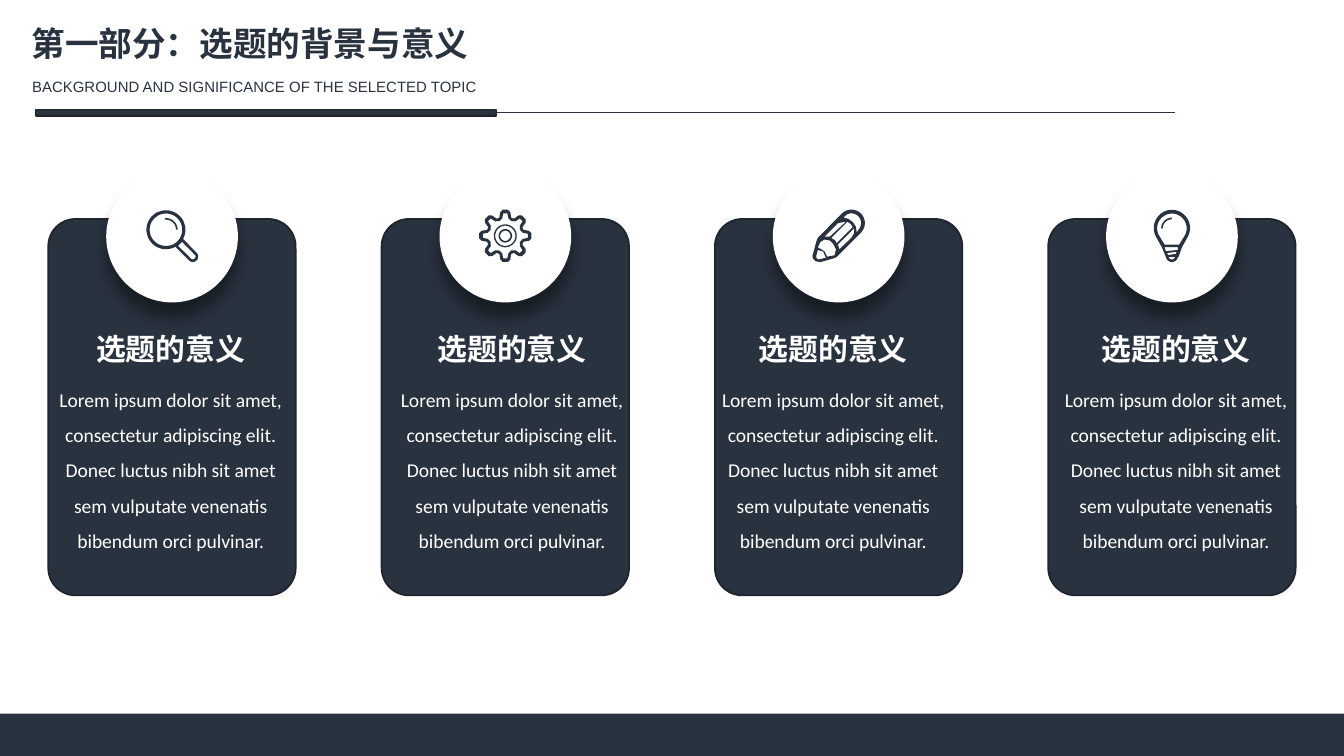
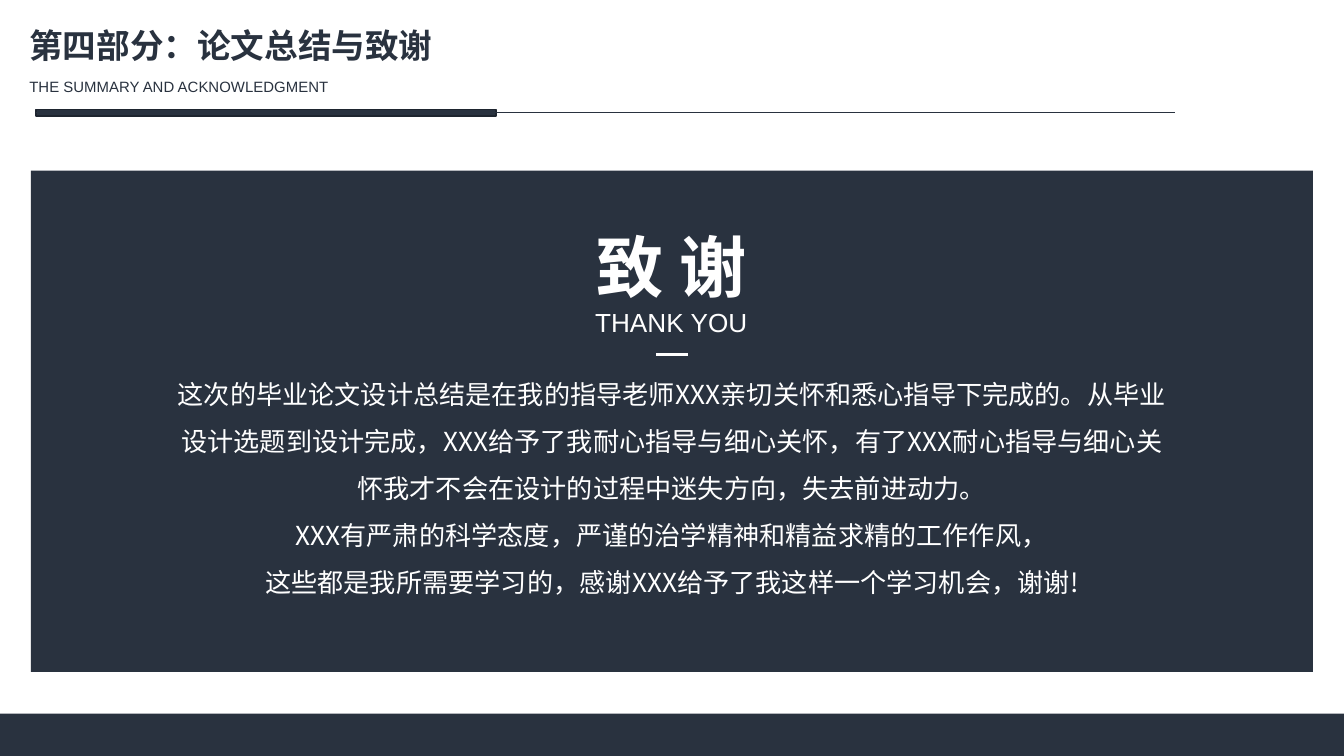
from dataclasses import dataclass
from math import cos, radians, sin

from lxml.etree import SubElement
from pptx import Presentation
from pptx.dml.color import RGBColor
from pptx.enum.shapes import MSO_CONNECTOR as Connector, MSO_SHAPE as Shape
from pptx.enum.text import MSO_AUTO_SIZE as AutoSize, PP_ALIGN as Align
from pptx.oxml.ns import qn
from pptx.util import Pt

PX = 4572  # EMU; 200 px to the inch
ICON_UNIT = PX / 5

NAVY = RGBColor(0x29, 0x32, 0x3F)
EDGE = RGBColor(0x1E, 0x25, 0x2F)
WHITE = RGBColor(0xFF, 0xFF, 0xFF)

CJK, SANS, BODY = "Noto Sans CJK SC", "Arial", "Calibri"

Points = list[tuple[float, float]]


@dataclass(frozen=True)
class Frame:
    left: int
    top: int
    width: int
    height: int

    def emu(self) -> tuple[int, int, int, int]:
        return self.left * PX, self.top * PX, self.width * PX, self.height * PX


@dataclass(frozen=True)
class Style:
    font: str
    size: float
    color: RGBColor = WHITE
    bold: bool = False


@dataclass(frozen=True)
class Header:
    title: str
    subtitle: str
    title_frame: Frame
    subtitle_frame: Frame
    align: Align


@dataclass(frozen=True)
class Icon:
    width: int
    contours: list[Points]


@dataclass(frozen=True)
class Card:
    icon: Icon
    text_left: int


TITLE = Style(CJK, 18, NAVY, True)
SUBTITLE = Style(SANS, 8, NAVY)
CARD_HEADING = Style(CJK, 16, bold=True)
CARD_BODY = Style(BODY, 10.5)
THANKS_HEADING = Style(CJK, 36, bold=True)
THANKS_ENGLISH = Style(SANS, 14)
THANKS_BODY = Style(CJK, 14)

FOOTER = Frame(0, 1062, 2000, 63)
HEADER_BAR = Frame(54, 163, 684, 10)
HEADER_LINE_RIGHT = 1748
CARD_LEFT, CARD_STEP, CARD_TOP = 72, 496, 326
CARD_WIDTH, CARD_HEIGHT = 368, 560
DISC_TOP, DISC_SIZE = 254, 196
ICON_TOP = 312

HEADING_TEXT = "选题的意义"
BODY_TEXT = (
    "Lorem ipsum dolor sit amet, consectetur adipiscing elit. Donec luctus nibh "
    "sit amet sem vulputate venenatis bibendum orci pulvinar."
)
THANKS_TEXT = [
    "这次的毕业论文设计总结是在我的指导老师XXX亲切关怀和悉心指导下完成的。"
    "从毕业设计选题到设计完成，XXX给予了我耐心指导与细心关怀，"
    "有了XXX耐心指导与细心关怀我才不会在设计的过程中迷失方向，失去前进动力。",
    "XXX有严肃的科学态度，严谨的治学精神和精益求精的工作作风，",
    "这些都是我所需要学习的，感谢XXX给予了我这样一个学习机会，谢谢!",
]

BACKGROUND = Header(
    "第一部分：选题的背景与意义",
    "BACKGROUND AND SIGNIFICANCE OF THE SELECTED TOPIC",
    Frame(24, 24, 696, 80),
    Frame(24, 106, 710, 48),
    Align.CENTER,
)
SUMMARY = Header(
    "第四部分：论文总结与致谢",
    "THE SUMMARY AND ACKNOWLEDGMENT",
    Frame(24, 28, 646, 80),
    Frame(24, 106, 492, 48),
    Align.LEFT,
)


def arc(x: float, y: float, radius: float, start: int, end: int) -> Points:
    """Points along a circle, in degrees clockwise from the right."""
    steps = max(8, abs(end - start) // 8)
    angles = [radians(start + (end - start) * i / steps) for i in range(steps + 1)]
    return [(x + radius * cos(a), y + radius * sin(a)) for a in angles]


def circle(x: float, y: float, radius: float) -> Points:
    return arc(x, y, radius, 0, 360)


def glint(x: float, y: float, outer: int, inner: int, start: int, end: int) -> Points:
    """A thin curved band that lies between two radii."""
    return arc(x, y, outer, start, end) + arc(x, y, inner, end, start)


def cog(center: float, tooth: Points) -> Points:
    """Repeat one tooth, given as (radius, degrees), eight times round a center."""
    return [
        (center + r * cos(radians(a + turn)), center + r * sin(radians(a + turn)))
        for turn in range(0, 360, 45)
        for r, a in tooth
    ]


MAGNIFIER = Icon(390, [
    arc(150, 150, 145, 61, 388) + arc(350, 350, 40, -45, 135),
    circle(150, 150, 121),
    [(240, 270), (270, 240)] + arc(350, 350, 20, -45, 135),
    glint(150, 150, 87, 75, -95, 0),
])
GEAR = Icon(390, [
    cog(195, [(142, -18), (180, -12), (195, -6), (195, 6), (180, 12), (142, 18)]),
    cog(195, [(118, -22), (132, -10), (168, -5), (168, 5), (132, 10)]),
    circle(195, 195, 85),
    circle(195, 195, 75),
    circle(195, 195, 50),
    circle(195, 195, 38),
])
PENCIL = Icon(390, [
    arc(290, 100, 100, -135, 45)
    + [(180, 353), (160, 362), (60, 390), (25, 385), (5, 365), (0, 345), (30, 235), (40, 210)],
    arc(290, 100, 72, -125, 35)
    + [(330, 170), (322, 125), (300, 92), (265, 67), (230, 60)],
    [(110, 350), (90, 310), (40, 280), (60, 240), (90, 222), (130, 230),
     (155, 255), (175, 295), (165, 340)],
    [(50, 370), (32, 365), (28, 345), (40, 300), (80, 312), (100, 358)],
    [(130, 200), (90, 200), (190, 100), (250, 90)],
    [(180, 250), (170, 230), (140, 210), (260, 90), (285, 107), (300, 130)],
    [(200, 295), (190, 260), (310, 140), (310, 175), (290, 210)],
])
BULB = Icon(270, [
    arc(135, 137, 135, 150, 390) + [(210, 280), (185, 350)]
    + arc(135, 345, 45, 20, 160) + [(60, 280)],
    arc(135, 140, 110, 155, 385) + [(190, 260), (80, 260)],
    [(80, 280), (180, 280), (180, 300), (90, 310)],
    [(100, 323), (170, 314), (165, 330), (105, 338)],
    [(110, 353), (160, 351), (148, 368), (135, 372), (120, 368)],
    glint(135, 140, 80, 68, 180, 270),
])

CARDS = [Card(MAGNIFIER, 122), Card(GEAR, 630), Card(PENCIL, 1108), Card(BULB, 1618)]


def add_block(page, kind: Shape, frame: Frame, fill: RGBColor, edge: RGBColor | None = None):
    block = page.shapes.add_shape(kind, *frame.emu())
    block.shadow.inherit = False
    block.fill.solid()
    block.fill.fore_color.rgb = fill
    if edge is None:
        block.line.fill.background()
    else:
        block.line.color.rgb = edge
        block.line.width = Pt(1)
    return block


def add_line(page, start: int, end: int, y: int, color: RGBColor, points: float):
    line = page.shapes.add_connector(Connector.STRAIGHT, start * PX, y * PX, end * PX, y * PX)
    line.line.color.rgb = color
    line.line.width = Pt(points)
    SubElement(line._element.spPr, qn("a:effectLst"))
    return line


def add_text(page, frame: Frame, lines: list[str], styles: list[Style],
             align: Align = Align.CENTER, wrap: bool = True, spacing: float = 1.0) -> None:
    """Write one paragraph for each line, in the style of the same rank."""
    box = page.shapes.add_textbox(*frame.emu())
    text_frame = box.text_frame
    text_frame.word_wrap = wrap
    text_frame.auto_size = AutoSize.SHAPE_TO_FIT_TEXT
    text_frame.text = "\n".join(lines)
    for para, style in zip(text_frame.paragraphs, styles):
        para.alignment = align
        para.line_spacing = spacing
        for span in para.runs:
            span.font.size = Pt(style.size)
            span.font.bold = style.bold
            span.font.color.rgb = style.color
            span.font.name = style.font
            SubElement(span.font._element, qn("a:ea"), typeface=style.font)


def add_drop_shadow(block) -> None:
    effects = block._element.spPr.find(qn("a:effectLst"))
    shadow = SubElement(effects, qn("a:outerShdw"), blurRad=str(Pt(8)), dist=str(Pt(8)),
                        dir="5400000", algn="t", rotWithShape="0")
    color = SubElement(shadow, qn("a:srgbClr"), val="000000")
    SubElement(color, qn("a:alpha"), val="40000")


def add_icon(page, icon: Icon, center: int) -> None:
    first, *others = icon.contours
    builder = page.shapes.build_freeform(*first[0], scale=ICON_UNIT)
    builder.add_line_segments(first[1:], close=True)
    for contour in others:
        builder.move_to(*contour[0])
        builder.add_line_segments(contour[1:], close=True)
    left = int(center * PX - icon.width * ICON_UNIT / 2)
    drawing = builder.convert_to_shape(left, ICON_TOP * PX)
    drawing.shadow.inherit = False
    drawing.fill.solid()
    drawing.fill.fore_color.rgb = NAVY
    drawing.line.fill.background()


def add_page(deck, header: Header):
    """Add a blank page with the footer band, header rule and titles."""
    page = deck.slides.add_slide(deck.slide_layouts[6])
    add_block(page, Shape.RECTANGLE, FOOTER, NAVY)
    bar = add_block(page, Shape.RECTANGLE, HEADER_BAR, NAVY, EDGE)
    middle = HEADER_BAR.top + HEADER_BAR.height // 2
    line = add_line(page, HEADER_LINE_RIGHT, HEADER_BAR.left, middle, NAVY, 0.5)
    line.end_connect(bar, 1)
    add_text(page, header.title_frame, [header.title], [TITLE], header.align, wrap=False)
    add_text(page, header.subtitle_frame, [header.subtitle], [SUBTITLE], header.align, wrap=False)
    return page


def add_card(page, card: Card, left: int) -> None:
    panel = add_block(page, Shape.ROUNDED_RECTANGLE,
                      Frame(left, CARD_TOP, CARD_WIDTH, CARD_HEIGHT), NAVY, EDGE)
    panel.adjustments[0] = 0.11
    center = left + CARD_WIDTH // 2
    disc = Frame(center - DISC_SIZE // 2, DISC_TOP, DISC_SIZE, DISC_SIZE)
    add_drop_shadow(add_block(page, Shape.OVAL, disc, WHITE))
    add_text(page, Frame(card.text_left, 482, 264, 74), [HEADING_TEXT], [CARD_HEADING], wrap=False)
    add_text(page, Frame(card.text_left - 67, 550, 398, 280), [BODY_TEXT], [CARD_BODY], spacing=1.5)
    add_icon(page, card.icon, center)


def build_background(deck) -> None:
    page = add_page(deck, BACKGROUND)
    for i, card in enumerate(CARDS):
        add_card(page, card, CARD_LEFT + i * CARD_STEP)


def build_thanks(deck) -> None:
    page = add_page(deck, SUMMARY)
    add_block(page, Shape.RECTANGLE, Frame(46, 254, 1908, 746), NAVY)
    add_text(page, Frame(834, 326, 330, 188), ["致 谢", "THANK YOU"],
             [THANKS_HEADING, THANKS_ENGLISH])
    add_text(page, Frame(240, 530, 1520, 374), THANKS_TEXT,
             [THANKS_BODY] * len(THANKS_TEXT), spacing=1.5)
    add_line(page, 976, 1024, 528, WHITE, 1.5)


def main() -> None:
    deck = Presentation()
    deck.slide_width, deck.slide_height = 2000 * PX, 1125 * PX
    build_background(deck)
    build_thanks(deck)
    deck.save("out.pptx")


if __name__ == "__main__":
    main()
